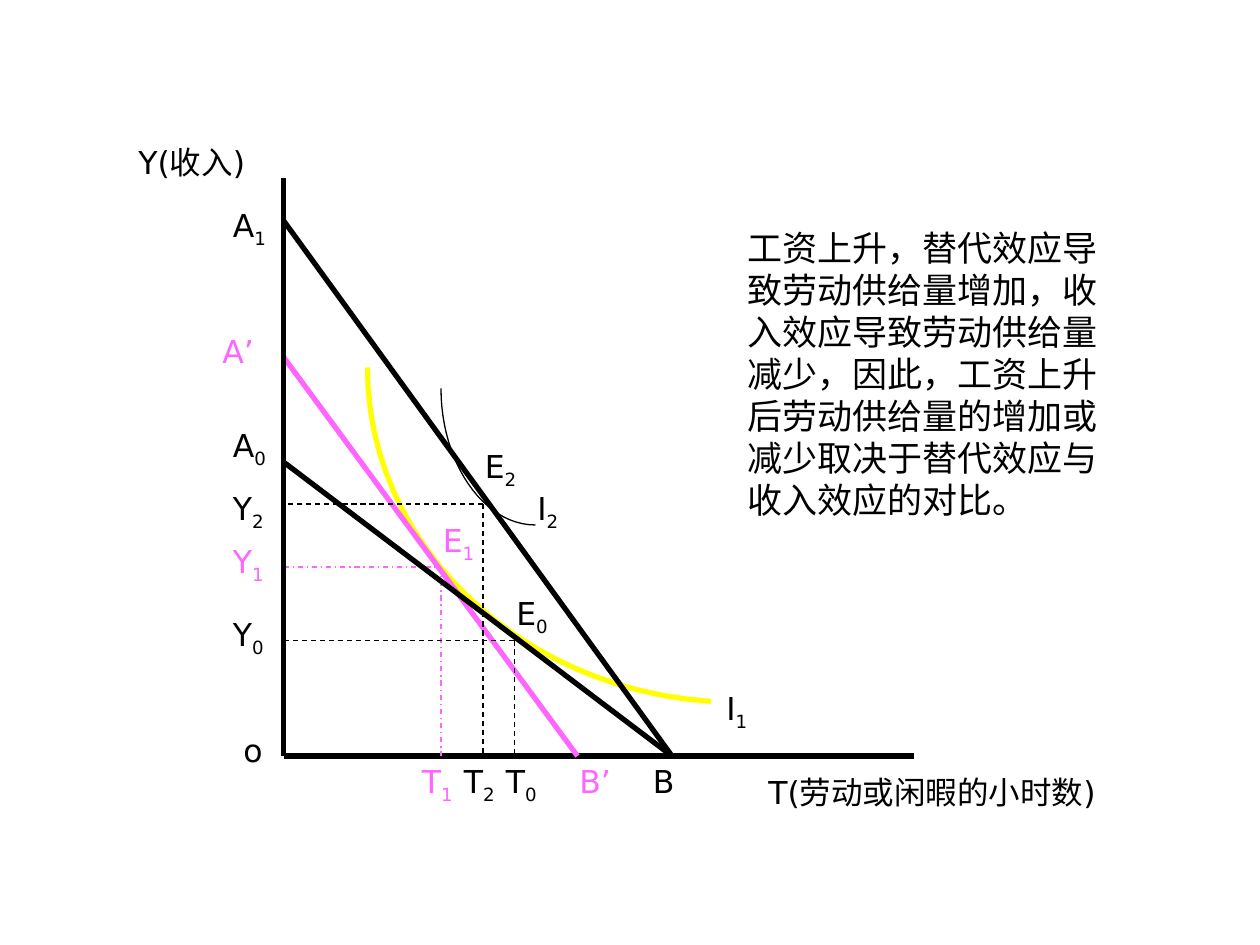
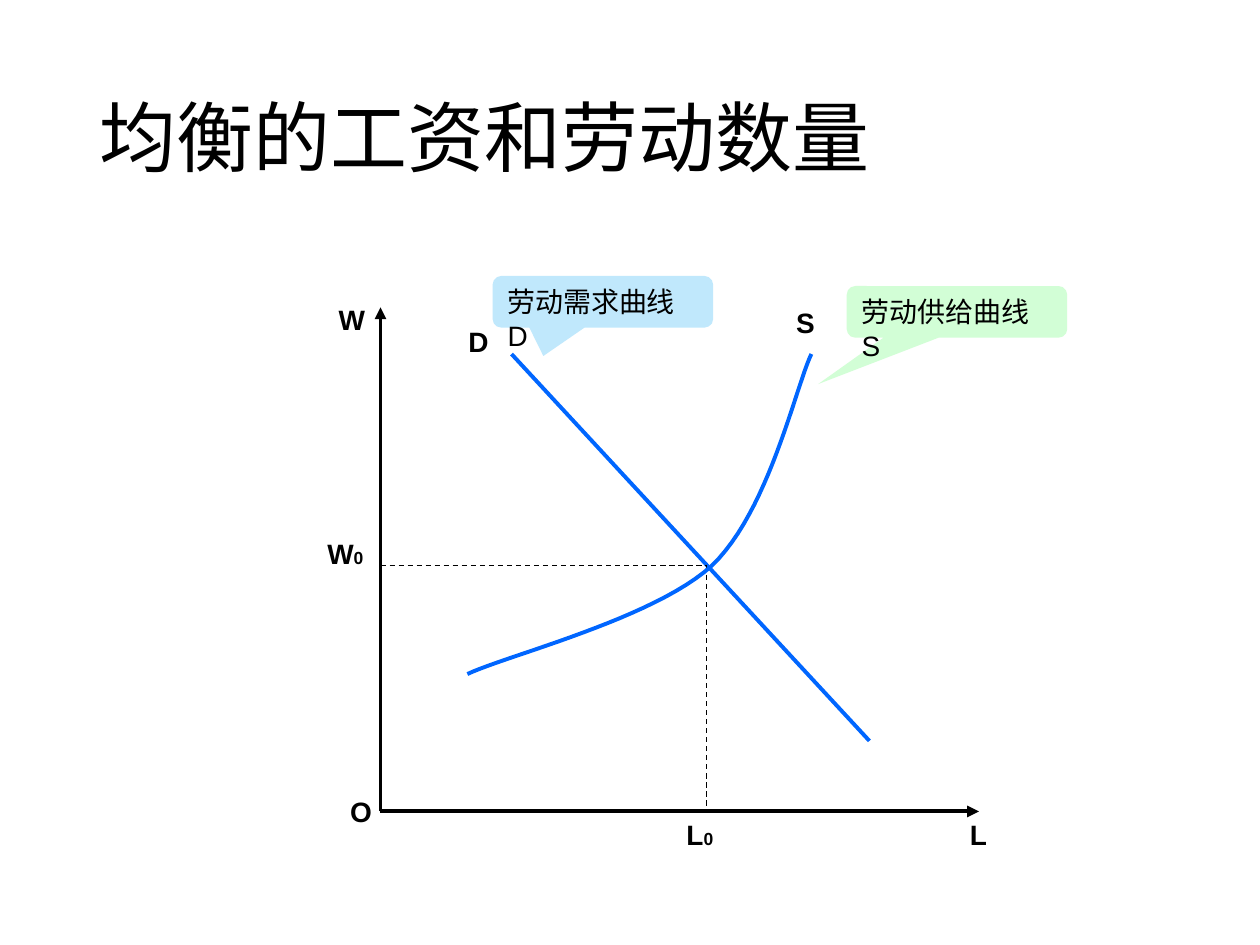
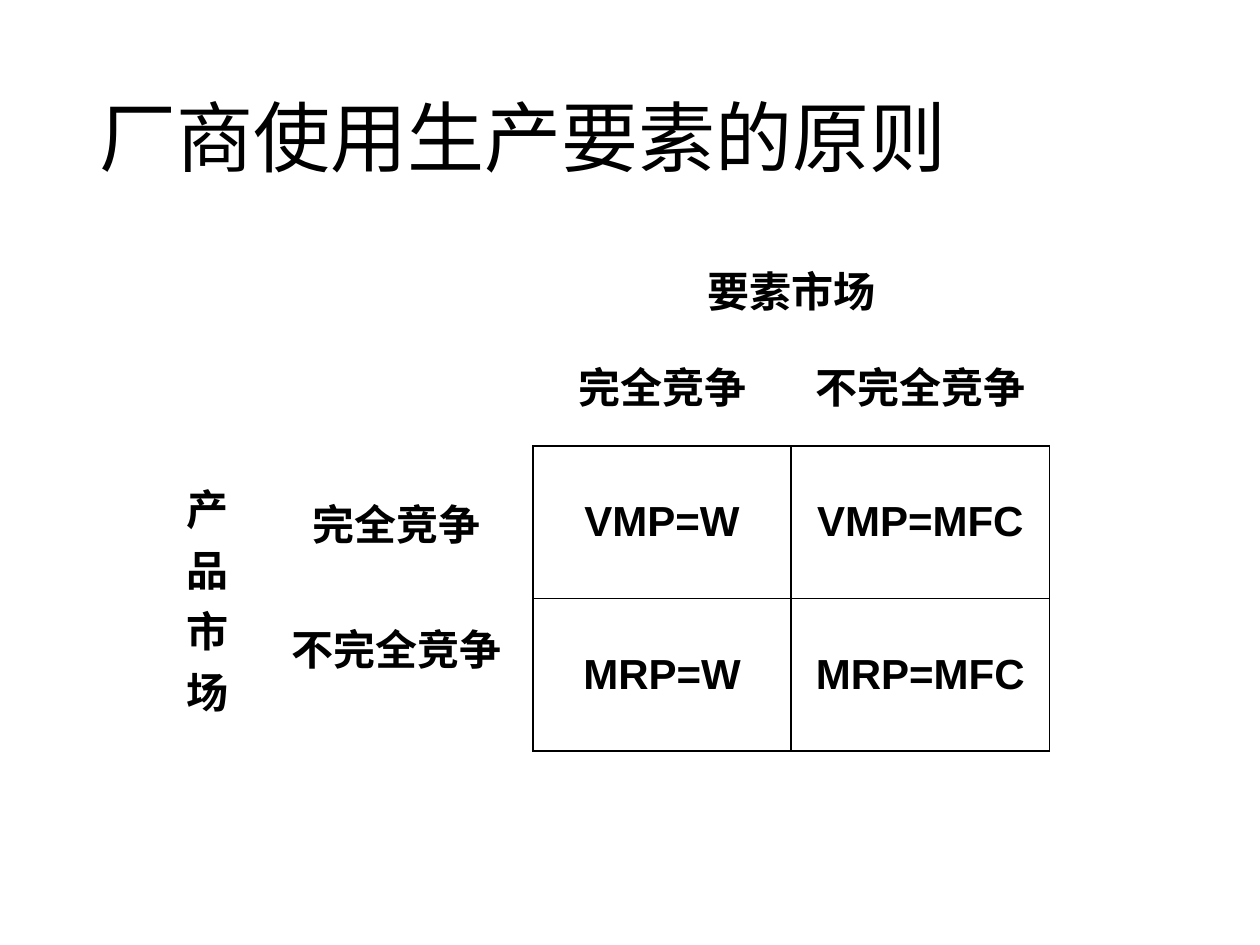
from lxml import etree
from pptx import Presentation
from pptx.dml.color import RGBColor
from pptx.enum.dml import MSO_LINE
from pptx.enum.shapes import MSO_CONNECTOR, MSO_SHAPE
from pptx.enum.text import MSO_ANCHOR, PP_ALIGN
from pptx.oxml.ns import qn
from pptx.util import Inches, Pt

STRAIGHT = MSO_CONNECTOR.STRAIGHT
CALLOUT = MSO_SHAPE.ROUNDED_RECTANGULAR_CALLOUT
DASH, DASH_DOT = MSO_LINE.DASH, MSO_LINE.DASH_DOT
MIDDLE, CENTER = MSO_ANCHOR.MIDDLE, PP_ALIGN.CENTER
C = {"ink": "000000", "pink": "FF66FF", "yellow": "FFFF00", "blue": "0066FF",
     "sky": "C0E8FC", "mint": "D2FED6"}
U = 1 / 12
STEPS = 24


def write(tf, text, font, size, color="ink", bold=False, sub="", sub_size=None):
    tf.word_wrap = True
    p = tf.paragraphs[0]
    for part in filter(None, (text, sub)):
        r = p.add_run()
        r.text = part
        r.font.name = font
        r.font.size = Pt(size)
        r.font.bold = bold
        r.font.color.rgb = RGBColor.from_string(C[color])
    if sub and sub_size:
        r.font.size = Pt(sub_size)
    elif sub:
        r._r.get_or_add_rPr().set("baseline", "-25000")
    return p


def stroke(s, pts, color, width, dash=None, arrow=False):
    pts = [(Inches(x), Inches(y)) for x, y in pts]
    if len(pts) == 2:
        sp = s.shapes.add_connector(STRAIGHT, *pts[0], *pts[1])
        etree.SubElement(sp._element.spPr, qn("a:effectLst"))
    else:
        curve = []
        for i in range(0, len(pts) - 1, 3):
            for k in range(1, STEPS + 1):
                t = k / STEPS
                weights = ((1 - t) ** 3, 3 * t * (1 - t) ** 2, 3 * t * t * (1 - t), t ** 3)
                curve.append([sum(w * q[axis] for w, q in zip(weights, pts[i:i + 4]))
                              for axis in (0, 1)])
        fb = s.shapes.build_freeform(*pts[0])
        fb.add_line_segments(curve, close=False)
        sp = fb.convert_to_shape()
        sp.shadow.inherit = False
        sp.fill.background()
    sp.line.color.rgb = RGBColor.from_string(C[color])
    sp.line.width = Pt(width)
    if dash:
        sp.line.dash_style = dash
    if arrow:
        etree.SubElement(sp.line._get_or_add_ln(), qn("a:tailEnd"), type="triangle")


prs = Presentation()
prs.slide_width, prs.slide_height = Inches(10), Inches(7.5)
slides = [prs.slides.add_slide(prs.slide_layouts[6]) for _ in range(3)]
for s, title in zip(slides[1:], ("均衡的工资和劳动数量", "厂商使用生产要素的原则")):
    tf = s.shapes.add_textbox(Inches(0.69), Inches(0.4), Inches(8.62), Inches(1.45)).text_frame
    tf.vertical_anchor = MIDDLE
    write(tf, title, "Calibri", 44).line_spacing = 0.9

s = slides[0]
strokes = [
    ([(27, 72), (87, 72)], "ink", 3, None),
    ([(67.7, 66.8), (49.4, 65.6), (35, 51.8), (35, 35)], "yellow", 3, None),
    ([(42, 54), (42, 72)], "pink", 0.75, DASH_DOT),
    ([(27, 34), (55, 72)], "pink", 3, None),
    ([(27, 54), (42, 54)], "pink", 0.75, DASH_DOT),
    ([(27, 44), (64, 72)], "ink", 3, None),
    ([(27, 61), (49, 61)], "ink", 0.75, DASH),
    ([(49, 61), (49, 72)], "ink", 0.75, DASH),
    ([(51, 50), (46, 50), (42, 44), (42, 37)], "ink", 0.75, None),
    ([(46, 48), (46, 72)], "ink", 0.75, DASH),
    ([(46, 48), (27, 48)], "ink", 0.75, DASH),
    ([(64, 72), (27, 21)], "ink", 3, None),
    ([(27, 72), (27, 17)], "ink", 3, None),
]
for pts, color, width, dash in strokes:
    stroke(s, [(x * U, y * U) for x, y in pts], color, width, dash)

labels = [
    (22, 69, 11, "o", "", "ink"), (68, 65, 11, "I", "1", "ink"),
    (50, 46, 11, "I", "2", "ink"), (61, 72, 11, "B", "", "ink"),
    (48, 56, 11, "E", "0", "ink"), (41, 49, 11, "E", "1", "pink"),
    (45, 42, 11, "E", "2", "ink"), (21, 58, 11, "Y", "0", "ink"),
    (21, 51, 11, "Y", "1", "pink"), (21, 46, 11, "Y", "2", "ink"),
    (39, 72, 11, "T", "1", "pink"), (43, 72, 11, "T", "2", "ink"),
    (47, 72, 11, "T", "0", "ink"), (20, 31, 11, "A’", "", "pink"),
    (21, 40, 11, "A", "0", "ink"), (21, 19, 11, "A", "1", "ink"),
    (54, 72, 11, "B’", "", "pink"), (12, 13, 19, "Y(收入)", "", "ink"),
    (72, 73, 44, "T(劳动或闲暇的小时数)", "", "ink"),
]
for x, y, w, text, sub, color in labels:
    box = s.shapes.add_textbox(*(Inches(n * U) for n in (x, y, w, 6)))
    write(box.text_frame, text, "DejaVu Sans", 18, color, sub=sub)
box = s.shapes.add_textbox(*(Inches(n * U) for n in (70, 21, 38, 29.5)))
write(box.text_frame, "工资上升，替代效应导致劳动供给量增加，收入效应导致劳动供给量减少，"
      "因此，工资上升后劳动供给量的增加或减少取决于替代效应与收入效应的对比。",
      "DejaVu Sans", 20)

s = slides[1]
left, base, eq_x, eq_y = 3.02, 6.44, 5.61, 4.49
stroke(s, [(left, base), (left, 2.44)], "ink", 2.25, arrow=True)
stroke(s, [(left, base), (7.77, base)], "ink", 2.25, arrow=True)
stroke(s, [(4.06, 2.81), (6.9, 5.88)], "blue", 2.25)
stroke(s, [(left, eq_y), (eq_x, eq_y)], "ink", 0.75, DASH)
stroke(s, [(eq_x, eq_y), (eq_x, base)], "ink", 0.75, DASH)
stroke(s, [(6.44, 2.81), (6.31, 3.09), (6.1, 4.06), (5.65, 4.49),
           (5.19, 4.91), (4.03, 5.2), (3.71, 5.35)], "blue", 2.25)
for x, y, text, sub in [(2.59, 2.35, "W", ""), (2.68, 6.26, "O", ""), (7.6, base, "L", ""),
                        (2.5, 4.21, "W", "0"), (3.62, 2.53, "D", ""),
                        (5.35, base, "L", "0"), (6.22, 2.38, "S", "")]:
    box = s.shapes.add_textbox(Inches(x), Inches(y), Inches(0.7), Inches(0.43))
    write(box.text_frame, text, "Arial", 16, bold=True, sub=sub, sub_size=10)
for x, y, tip, fill, text in [(3.91, 2.19, (-0.27, 1.05), "sky", "劳动需求曲线D"),
                              (6.72, 2.27, (-0.63, 1.4), "mint", "劳动供给曲线S")]:
    sp = s.shapes.add_shape(CALLOUT, Inches(x), Inches(y), Inches(1.75), Inches(0.41))
    sp.shadow.inherit = False
    sp.adjustments[0], sp.adjustments[1] = tip
    sp.fill.solid()
    sp.fill.fore_color.rgb = RGBColor.from_string(C[fill])
    sp.line.fill.background()
    tf = sp.text_frame
    tf.vertical_anchor = MSO_ANCHOR.TOP
    tf.margin_right = Inches(0.2)
    write(tf, text, "Arial", 16).alignment = PP_ALIGN.LEFT

s = slides[2]
widths, heights = (0.84, 2.16, 2.05, 2.05), (0.57, 0.97, 1.21, 1.21)
rows = [("", "", "要素市场", ""),
        ("", "", "完全竞争", "不完全竞争"),
        ("产品市场", "完全竞争", "VMP=W", "VMP=MFC"),
        ("", "不完全竞争", "MRP=W", "MRP=MFC")]
table = s.shapes.add_table(4, 4, Inches(1.23), Inches(2), Inches(sum(widths)),
                           Inches(sum(heights))).table
table.first_row = table.horz_banding = False
for col, w in zip(table.columns, widths):
    col.width = Inches(w)
for row, h in zip(table.rows, heights):
    row.height = Inches(h)
table.cell(0, 2).merge(table.cell(0, 3))
table.cell(2, 0).merge(table.cell(3, 0))
for i, row in enumerate(rows):
    for j, text in enumerate(row):
        cell = table.cell(i, j)
        cell.fill.background()
        cell.vertical_anchor = MIDDLE
        if text:
            write(cell.text_frame, text, "Arial", 24, bold=True).alignment = CENTER
        sides = "LRTB" if i > 1 and j > 1 else "B" if i == 1 and j > 1 else "R" if i > 1 and j == 1 else ""
        for n, side in enumerate(sides):
            ln = etree.Element(qn("a:ln" + side), w=str(Pt(1)))
            solid = etree.SubElement(ln, qn("a:solidFill"))
            etree.SubElement(solid, qn("a:srgbClr"), val=C["ink"])
            cell._tc.get_or_add_tcPr().insert(n, ln)
table.cell(3, 1).margin_bottom = Inches(0.49)

prs.save("out.pptx")
